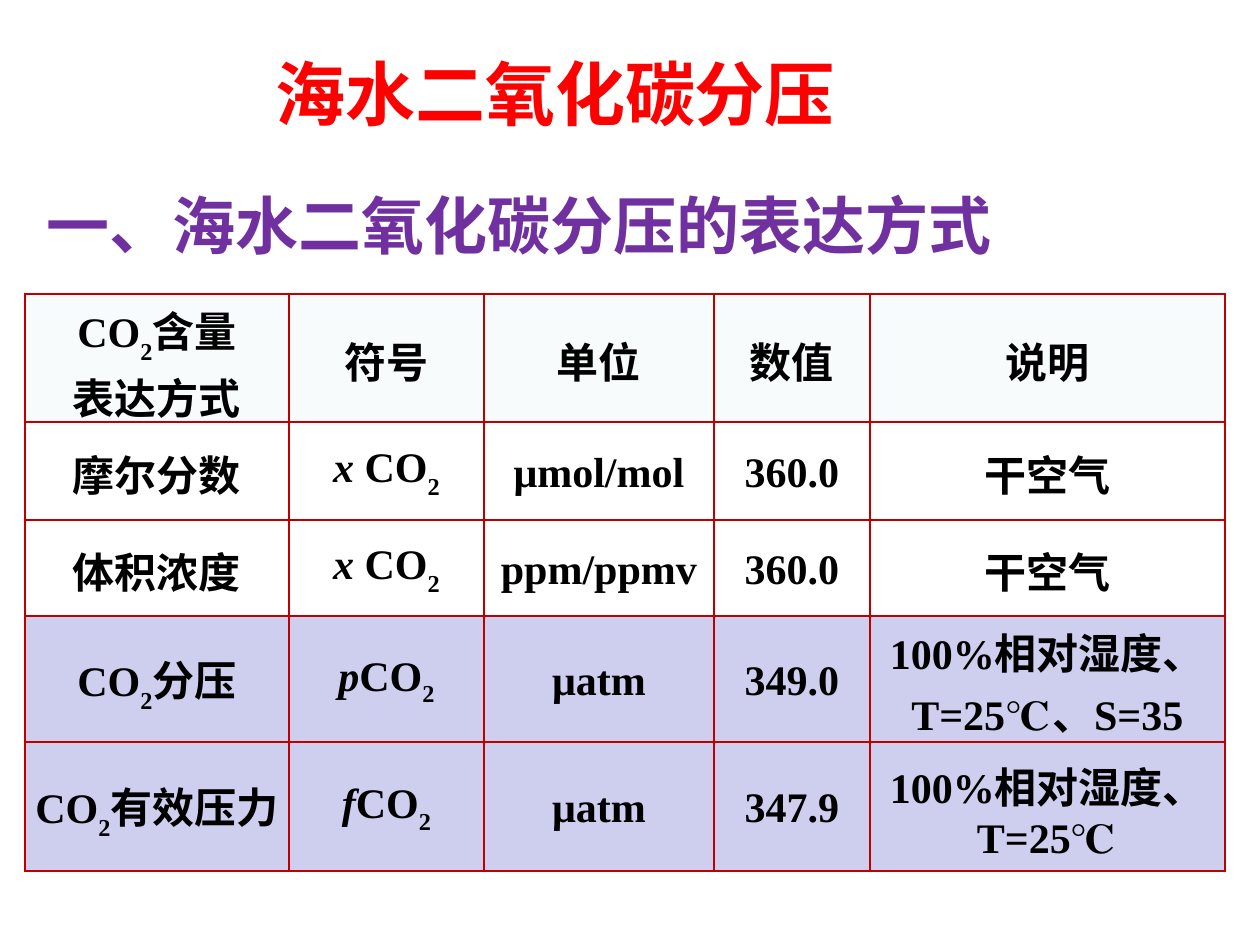
import pptx
import pptx.dml.color
import pptx.enum.text
import pptx.oxml
import pptx.oxml.ns
import pptx.util

SCALE = 914400 / 126  # EMU in one px
FONT = "Times New Roman"
MIDDLE = pptx.enum.text.MSO_ANCHOR.MIDDLE
CENTER = pptx.enum.text.PP_ALIGN.CENTER

BORDER = "C00000"
HEADER_FILL, PLAIN_FILL, PRESSURE_FILL = "F8FBFC", "FFFFFF", "CECEEF"
COLUMNS = [264, 195, 230, 156, 355]
ROWS = [128, 98, 96, 126, 129]
INSETS = {"margin_left": 3, "margin_top": 5, "margin_right": 3, "margin_bottom": 1}


def px(n):
    return pptx.util.Emu(round(n * SCALE))


def rgb(value):
    return pptx.dml.color.RGBColor.from_string(value)


def set_attrs(obj, values):
    for name, value in values.items():
        setattr(obj, name, value)


def add_run(p, text, size, color, italic=False, baseline=0):
    r = p.add_run()
    r.text = text
    set_attrs(r.font, {"name": FONT, "size": pptx.util.Pt(size),
                       "bold": True, "italic": italic})
    r.font.color.rgb = rgb(color)
    if baseline:
        r._r.get_or_add_rPr().set("baseline", str(baseline * 1000))


def add_heading(slide, box, text, size, color):
    sp = slide.shapes.add_textbox(*map(px, box))
    tf = sp.text_frame
    set_attrs(tf, {"word_wrap": True, "vertical_anchor": MIDDLE})
    p = tf.paragraphs[0]
    indent = px(147)
    pPr = p._p.get_or_add_pPr()
    pPr.set("marL", str(indent))
    pPr.set("indent", str(-indent))
    add_run(p, text, size, color)


def add_borders(cell, color):
    tcPr = cell._tc.get_or_add_tcPr()
    for i, side in enumerate(("lnL", "lnR", "lnT", "lnB")):
        tcPr.insert(i, pptx.oxml.parse_xml(
            f'<a:{side} {pptx.oxml.ns.nsdecls("a")} w="12700"><a:solidFill>'
            f'<a:srgbClr val="{color}"/></a:solidFill></a:{side}>'))


def fill_cell(cell, paragraphs, fill):
    """Each paragraph is a list of (text, format) runs."""
    set_attrs(cell, {name: px(n) for name, n in INSETS.items()})
    cell.vertical_anchor = MIDDLE
    cell.fill.solid()
    cell.fill.fore_color.rgb = rgb(fill)
    add_borders(cell, BORDER)
    tf = cell.text_frame
    for i, runs in enumerate(paragraphs):
        p = tf.add_paragraph() if i else tf.paragraphs[0]
        p.alignment = CENTER
        for text, fmt in runs:
            add_run(p, text, 24, "000000", **fmt)


def plain(*lines):
    return [[(line, {})] for line in lines]


def co2(before="", after="", gap="", drop=-30):
    """CO2 with a subscript, an italic symbol before it or words after it."""
    runs = [(before, {"italic": True}), (gap + "CO", {}),
            ("2", {"baseline": drop}), (after, {})]
    return [[run for run in runs if run[0]]]


def add_table(slide, left, top, rows):
    sp = slide.shapes.add_table(len(ROWS), len(COLUMNS), px(left), px(top),
                                px(sum(COLUMNS)), px(sum(ROWS)))
    table = sp.table
    set_attrs(table, {"first_row": False, "horz_banding": False})
    for column, width in zip(table.columns, COLUMNS):
        column.width = px(width)
    for row, height, (fill, contents) in zip(table.rows, ROWS, rows):
        row.height = px(height)
        for cell, paragraphs in zip(row.cells, contents):
            fill_cell(cell, paragraphs, fill)


def main():
    prs = pptx.Presentation()
    set_attrs(prs, {"slide_width": px(1260), "slide_height": px(945)})
    slide = prs.slides.add_slide(prs.slide_layouts[6])

    # Headings
    add_heading(slide, (34, 185, 1002, 79), "一、海水二氧化碳分压的表达方式", 36, "7030A0")
    add_heading(slide, (263, 43, 814, 100), "海水二氧化碳分压", 40, "FF0000")

    # Ways of expressing the CO2 content
    add_table(slide, 25, 294, [
        (HEADER_FILL, [co2(after="含量") + plain("表达方式"), plain("符号"),
                       plain("单位"), plain("数值"), plain("说明")]),
        (PLAIN_FILL, [plain("摩尔分数"), co2("x", gap=" "), plain("μmol/mol"),
                      plain("360.0"), plain("干空气")]),
        (PLAIN_FILL, [plain("体积浓度"), co2("x", gap=" "), plain("ppm/ppmv"),
                      plain("360.0"), plain("干空气")]),
        (PRESSURE_FILL, [co2(after="分压"), co2("p", drop=-25), plain("μatm"),
                         plain("349.0"), plain("100%相对湿度、T=25℃、S=35")]),
        (PRESSURE_FILL, [co2(after="有效压力"), co2("f"), plain("μatm"),
                         plain("347.9"), plain("100%相对湿度、", "T=25℃")]),
    ])
    prs.save("out.pptx")


if __name__ == "__main__":
    main()
